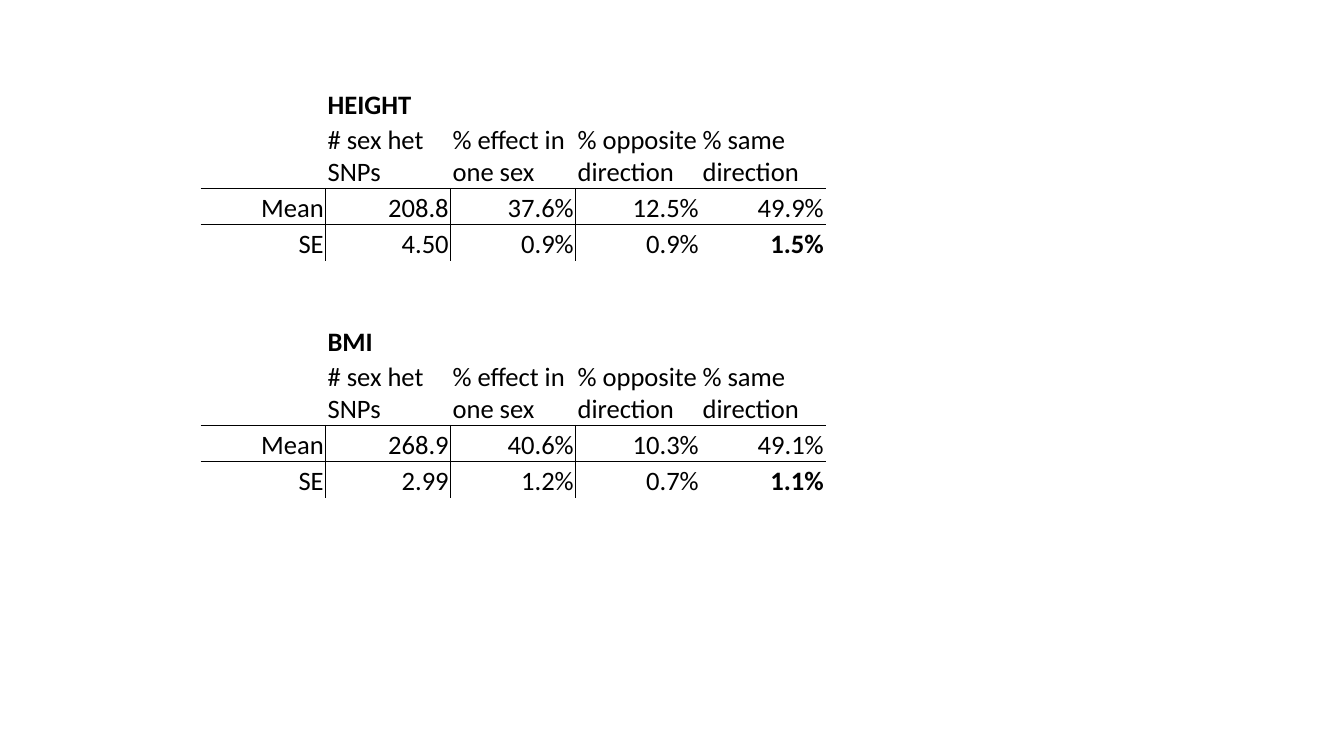
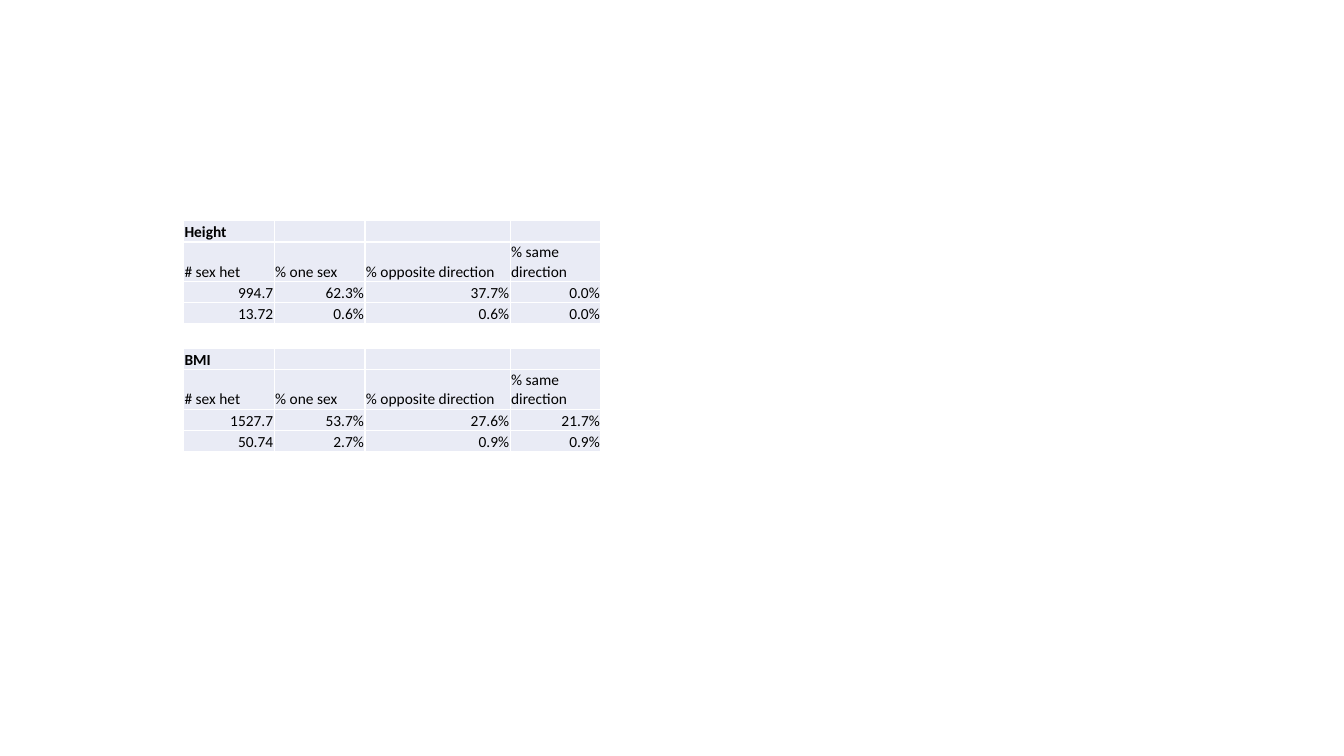
from dataclasses import dataclass

from lxml import etree
from pptx import Presentation
from pptx.dml.color import RGBColor
from pptx.enum.text import MSO_ANCHOR, PP_ALIGN
from pptx.oxml.ns import qn
from pptx.util import Inches, Pt

LEFT, RIGHT = PP_ALIGN.LEFT, PP_ALIGN.RIGHT
BOTTOM = MSO_ANCHOR.BOTTOM
BLANK_LAYOUT = 6
NO_STYLE_NO_GRID = "{2D5ABB26-0587-4C30-8999-92F81FD0307C}"


# Theme: everything the slides share
@dataclass(frozen=True)
class Theme:
    font: str = "Calibri"
    ink: str = "000000"
    paper: str = "FFFFFF"
    tint: str = "E9EBF5"
    large: int = 19
    small: int = 11
    rule: int = 1


THEME = Theme()


# Table look: sizes, colours and the grid boundaries that carry a rule
@dataclass(frozen=True)
class TableLook:
    columns: tuple
    rows: tuple
    size: int
    fill: str
    rule: str
    inset: float
    across: tuple
    down: tuple
    down_from: int = 0


RULED = TableLook(
    columns=(1.24,) * 5, rows=(0.36, 0.65, 0.36, 0.36), size=THEME.large,
    fill=THEME.paper, rule=THEME.ink, inset=0.02,
    across=(2, 3), down=(1, 2), down_from=2)
TINTED = TableLook(
    columns=(0.9, 0.9, 1.44, 0.9), rows=(0.21, 0.39, 0.21, 0.21),
    size=THEME.small, fill=THEME.tint, rule=THEME.paper, inset=0.01,
    across=tuple(range(5)), down=tuple(range(5)))


def write_text(frame, text, size, bold=False, align=LEFT):
    """Put one formatted line in a frame; an empty one only keeps its size."""
    para = frame.paragraphs[0]
    para.alignment = align
    if not text:
        end = etree.SubElement(para._p, qn("a:endParaRPr"))
        end.set("sz", str(size * 100))
        return
    span = para.add_run()
    span.text = text
    span.font.name = THEME.font
    span.font.size = Pt(size)
    span.font.bold = bold
    span.font.color.rgb = RGBColor.from_string(THEME.ink)


class Deck:
    def __init__(self):
        self.deck = Presentation()
        self.deck.slide_width = Inches(13.33)
        self.deck.slide_height = Inches(7.5)
        self.page = None

    def add_page(self):
        layout = self.deck.slide_layouts[BLANK_LAYOUT]
        self.page = self.deck.slides.add_slide(layout)

    def add_border(self, cell, edge, colour):
        line = etree.SubElement(cell._tc.get_or_add_tcPr(), qn(f"a:ln{edge}"))
        line.set("w", str(Pt(THEME.rule)))
        fill = etree.SubElement(line, qn("a:solidFill"))
        etree.SubElement(fill, qn("a:srgbClr")).set("val", colour)

    def style_cell(self, cell, row, column, look):
        cell.vertical_anchor = BOTTOM
        cell.margin_left = cell.margin_right = Inches(look.inset)
        cell.margin_top = Inches(look.inset)
        cell.margin_bottom = 0
        # Borders come before the fill in the cell properties
        in_body = row >= look.down_from
        edges = {
            "L": in_body and column in look.down,
            "R": in_body and column + 1 in look.down,
            "T": row in look.across,
            "B": row + 1 in look.across,
        }
        for edge, ruled in edges.items():
            if ruled:
                self.add_border(cell, edge, look.rule)
        cell.fill.solid()
        cell.fill.fore_color.rgb = RGBColor.from_string(look.fill)

    def add_table(self, left, top, grid, look, bold):
        frame = self.page.shapes.add_table(
            len(look.rows), len(look.columns), Inches(left), Inches(top),
            Inches(sum(look.columns)), Inches(sum(look.rows)))
        table = frame.table
        table.first_row = table.horz_banding = False
        table._tbl.tblPr.find(qn("a:tableStyleId")).text = NO_STYLE_NO_GRID
        for column, width in zip(table.columns, look.columns):
            column.width = Inches(width)
        for row, height in zip(table.rows, look.rows):
            row.height = Inches(height)
        for row, texts in enumerate(grid):
            for column, text in enumerate(texts):
                cell = table.cell(row, column)
                self.style_cell(cell, row, column, look)
                write_text(cell.text_frame, text, look.size,
                           bold=(row, column) in bold,
                           align=RIGHT if row >= 2 else LEFT)

    def save(self):
        self.deck.save("out.pptx")


def main():
    deck = Deck()

    # Slide 1: ruled tables with row labels
    deck.add_page()
    header = ("", "# sex het SNPs", "% effect in one sex",
              "% opposite direction", "% same direction")
    ruled_tables = (
        (0.85, "HEIGHT", ("208.8", "37.6%", "12.5%", "49.9%"),
         ("4.50", "0.9%", "0.9%", "1.5%")),
        (3.2, "BMI", ("268.9", "40.6%", "10.3%", "49.1%"),
         ("2.99", "1.2%", "0.7%", "1.1%")),
    )
    for top, trait, means, errors in ruled_tables:
        grid = (("", trait, "", "", ""), header,
                ("Mean", *means), ("SE", *errors))
        deck.add_table(1.99, top, grid, RULED, bold={(0, 1), (3, 4)})

    # Slide 2: tinted tables without row labels
    deck.add_page()
    header = ("# sex het", "% one sex", "% opposite direction",
              "% same direction")
    tinted_tables = (
        (2.19, "Height", ("994.7", "62.3%", "37.7%", "0.0%"),
         ("13.72", "0.6%", "0.6%", "0.0%")),
        (3.46, "BMI", ("1527.7", "53.7%", "27.6%", "21.7%"),
         ("50.74", "2.7%", "0.9%", "0.9%")),
    )
    for top, trait, means, errors in tinted_tables:
        grid = ((trait, "", "", ""), header, means, errors)
        deck.add_table(1.82, top, grid, TINTED, bold={(0, 0)})

    deck.save()


if __name__ == "__main__":
    main()
